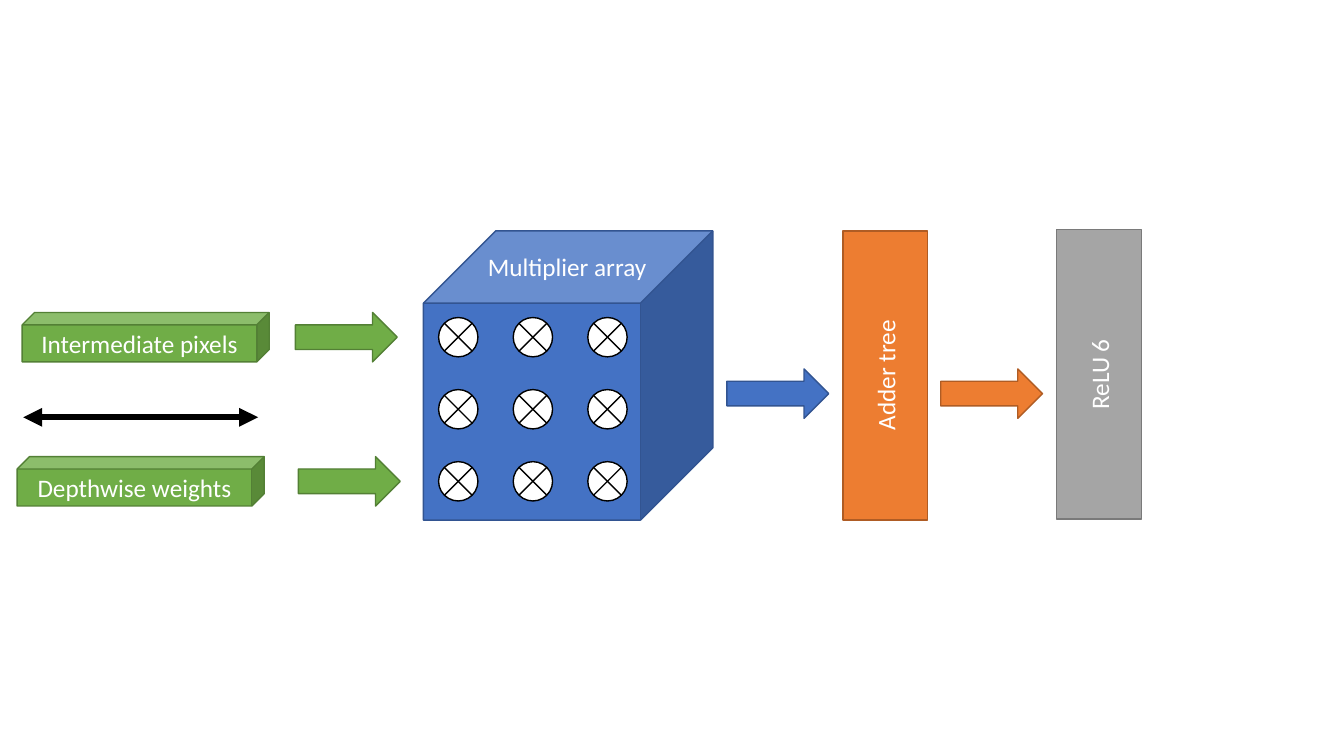
from dataclasses import dataclass

from lxml.etree import SubElement
from pptx import Presentation
from pptx.dml.color import RGBColor
from pptx.enum.shapes import MSO_CONNECTOR as Connector, MSO_SHAPE as Preset
from pptx.enum.text import MSO_ANCHOR as Anchor, MSO_AUTO_SIZE as AutoSize, PP_ALIGN as Align
from pptx.oxml.ns import qn
from pptx.shapes.autoshape import Shape
from pptx.slide import Slide
from pptx.text.text import TextFrame
from pptx.util import Inches, Pt

COLORS = {
    "blue": "4472C4", "blue_edge": "325491",
    "green": "70AD47", "green_edge": "538035",
    "orange": "ED7D31", "orange_edge": "AF5C24",
    "gray": "A5A5A5", "gray_edge": "7A7A7A",
    "white": "FFFFFF", "black": "000000",
}


@dataclass(frozen=True)
class Block:
    preset: Preset
    left: float
    top: float
    width: float
    height: float
    fill: str
    edge: str
    label: str = ""
    vertical: bool = False


def color(name: str) -> RGBColor:
    return RGBColor.from_string(COLORS[name])


def write_label(frame: TextFrame, label: str, align: Align) -> None:
    paragraph = frame.paragraphs[0]
    paragraph.alignment = align
    run = paragraph.add_run()
    run.text = label
    run.font.name = "Calibri"
    run.font.size = Pt(18)
    run.font.color.rgb = color("white")


def draw_block(slide: Slide, block: Block) -> Shape:
    shape = slide.shapes.add_shape(
        block.preset, Inches(block.left), Inches(block.top),
        Inches(block.width), Inches(block.height))
    shape.shadow.inherit = False
    shape.fill.solid()
    shape.fill.fore_color.rgb = color(block.fill)
    shape.line.color.rgb = color(block.edge)
    shape.line.width = Pt(1)
    if block.label:
        frame = shape.text_frame
        frame.word_wrap = True
        frame.vertical_anchor = Anchor.MIDDLE
        write_label(frame, block.label, Align.CENTER)
        if block.vertical:
            shape.element.txBody.find(qn("a:bodyPr")).set("vert", "vert270")
    return shape


def draw_title(slide: Slide, label: str, left: float, top: float,
               width: float, height: float) -> None:
    title = slide.shapes.add_textbox(
        Inches(left), Inches(top), Inches(width), Inches(height))
    title.text_frame.word_wrap = True
    title.text_frame.auto_size = AutoSize.SHAPE_TO_FIT_TEXT
    write_label(title.text_frame, label, Align.LEFT)


def draw_double_arrow(slide: Slide, left: float, right: float, y: float) -> None:
    arrow = slide.shapes.add_connector(
        Connector.STRAIGHT, Inches(left), Inches(y), Inches(right), Inches(y))
    arrow.line.color.rgb = color("black")
    arrow.line.width = Pt(4.5)
    properties = arrow.element.spPr
    line = properties.find(qn("a:ln"))
    for end in ("a:headEnd", "a:tailEnd"):
        SubElement(line, qn(end)).set("type", "triangle")
    SubElement(properties, qn("a:effectLst"))


def flow_arrow(left: float, top: float, hue: str) -> Block:
    return Block(Preset.RIGHT_ARROW, left, top, 1.01, 0.49, hue, f"{hue}_edge")


def input_bar(left: float, top: float, label: str) -> Block:
    return Block(Preset.CUBE, left, top, 2.45, 0.49, "green", "green_edge", label)


def stage(left: float, top: float, hue: str, label: str) -> Block:
    return Block(Preset.RECTANGLE, left, top, 0.84, 2.87, hue, f"{hue}_edge", label, True)


def main() -> None:
    prs = Presentation()
    prs.slide_width, prs.slide_height = Inches(13.33), Inches(7.5)
    slide = prs.slides.add_slide(prs.slide_layouts[6])

    # Multiplier array: cube, title and 3 x 3 multipliers
    draw_block(slide, Block(Preset.CUBE, 4.2, 2.29, 2.87, 2.87, "blue", "blue_edge"))
    draw_title(slide, "Multiplier array", 4.74, 2.44, 2.18, 0.4)
    for row in range(3):
        for column in range(3):
            draw_block(slide, Block(
                Preset.FLOWCHART_SUMMING_JUNCTION, 4.35 + 0.74 * column,
                3.15 + 0.715 * row, 0.39, 0.39, "white", "black"))

    # Inputs, stages and the flow between them
    pipeline = (
        flow_arrow(2.93, 3.1, "green"),
        flow_arrow(2.96, 4.53, "green"),
        input_bar(0.22, 3.1, "Intermediate pixels"),
        input_bar(0.17, 4.53, "Depthwise weights"),
        stage(8.36, 2.29, "orange", "Adder tree"),
        flow_arrow(7.21, 3.66, "blue"),
        flow_arrow(9.33, 3.66, "orange"),
        stage(10.48, 2.28, "gray", "ReLU 6"),
    )
    for block in pipeline:
        draw_block(slide, block)

    # Shared width of the inputs
    draw_double_arrow(slide, 0.23, 2.56, 4.14)

    prs.save("out.pptx")


if __name__ == "__main__":
    main()
